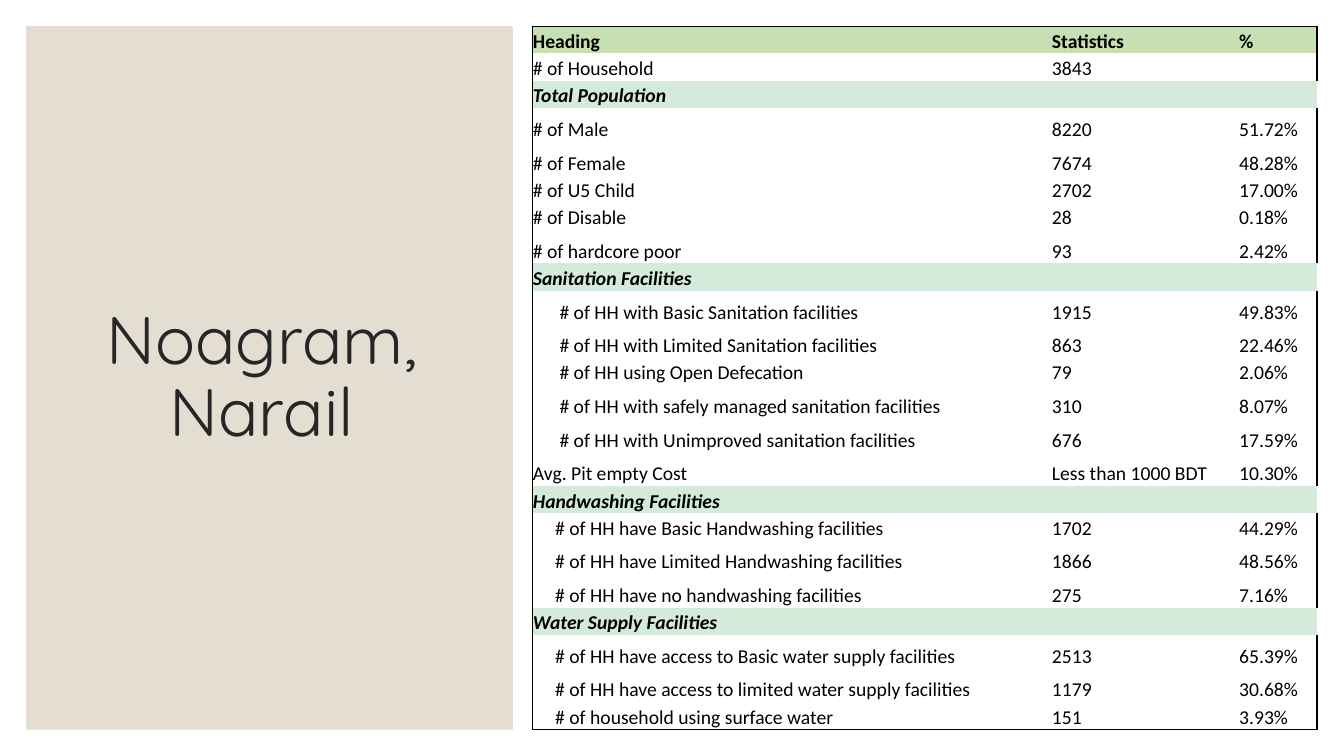
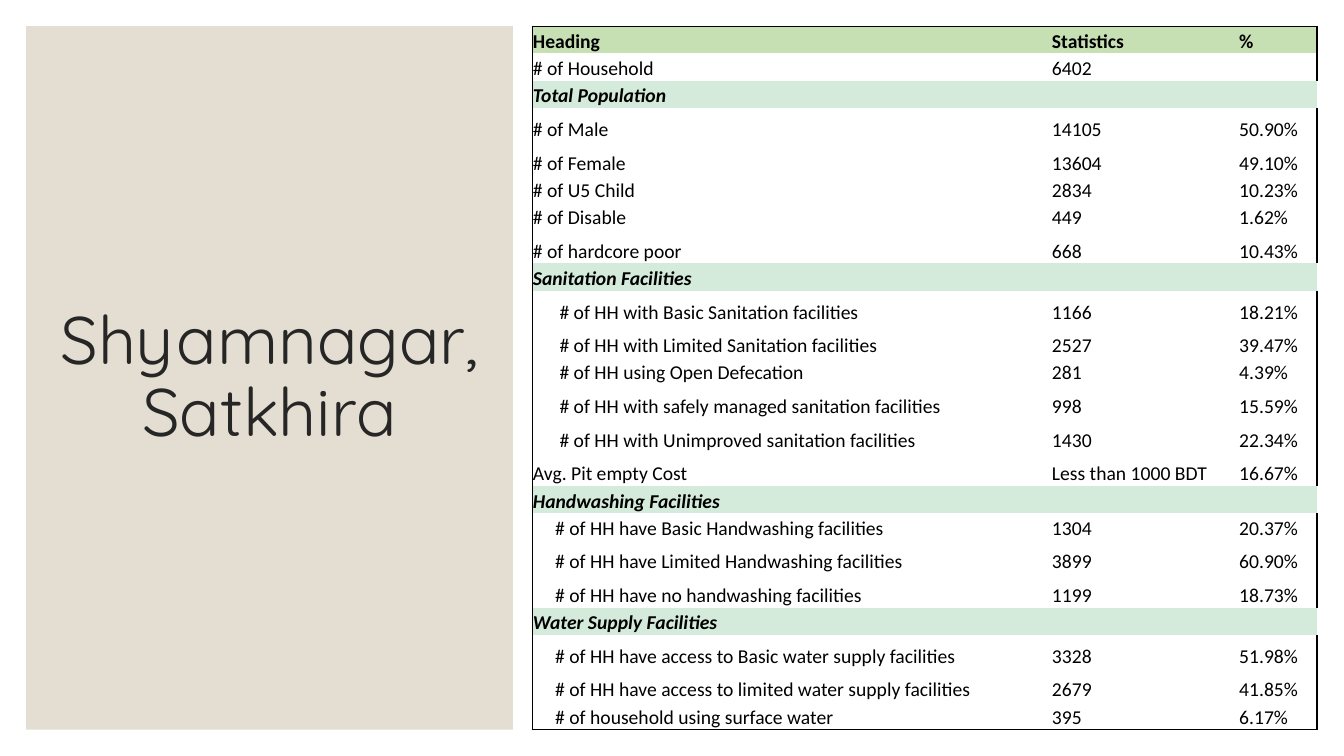
from dataclasses import dataclass

from pptx import Presentation
from pptx.dml.color import RGBColor
from pptx.enum.shapes import MSO_SHAPE
from pptx.enum.text import MSO_ANCHOR, MSO_AUTO_SIZE, PP_ALIGN
from pptx.oxml.ns import qn
from pptx.util import Cm, Pt
from lxml.etree import SubElement

TITLE_ONLY = 5
MARGIN = 0.66
CONTENT_HEIGHT = 17.73
COLUMN_WIDTHS = (13.08, 4.72, 1.98)
TALL_RATIO = 1.23
SANITATION_INDENT = 0.67
FACILITY_INDENT = 0.56


@dataclass(frozen=True)
class Theme:
    panel: RGBColor = RGBColor.from_string("E3DED1")
    title: RGBColor = RGBColor.from_string("262626")
    text: RGBColor = RGBColor.from_string("000000")
    header: RGBColor = RGBColor.from_string("C6E0B4")
    section: RGBColor = RGBColor.from_string("D4EBDB")
    title_font: str = "Quicksand"
    table_font: str = "Calibri"
    title_size: Pt = Pt(48)
    table_size: Pt = Pt(14)
    border: Pt = Pt(1)


THEME = Theme()


@dataclass(frozen=True)
class Row:
    label: str
    kind: str = "measure"
    tall: bool = False
    indent: float = 0


@dataclass(frozen=True)
class Site:
    name: str
    title_width: float
    measures: tuple


ROWS = (
    Row("Heading", "header"),
    Row("# of Household"),
    Row("Total Population", "section"),
    Row("# of Male", tall=True),
    Row("# of Female", tall=True),
    Row("# of U5 Child"),
    Row("# of Disable"),
    Row("# of hardcore poor", tall=True),
    Row("Sanitation Facilities", "section"),
    Row("# of HH with Basic Sanitation facilities", tall=True, indent=SANITATION_INDENT),
    Row("# of HH with Limited Sanitation facilities", tall=True, indent=SANITATION_INDENT),
    Row("# of HH using Open Defecation", indent=SANITATION_INDENT),
    Row("# of HH with safely managed sanitation facilities", tall=True, indent=SANITATION_INDENT),
    Row("# of HH with Unimproved sanitation facilities", tall=True, indent=SANITATION_INDENT),
    Row("Avg. Pit empty Cost", tall=True),
    Row("Handwashing Facilities", "section"),
    Row("# of HH have Basic Handwashing facilities", indent=FACILITY_INDENT),
    Row("# of HH have Limited Handwashing facilities", tall=True, indent=FACILITY_INDENT),
    Row("# of HH have no handwashing facilities", tall=True, indent=FACILITY_INDENT),
    Row("Water Supply Facilities", "section"),
    Row("# of HH have access to Basic water supply facilities", tall=True, indent=FACILITY_INDENT),
    Row("# of HH have access to limited water supply facilities", tall=True, indent=FACILITY_INDENT),
    Row("# of household using surface water", indent=FACILITY_INDENT),
)

SITES = (
    Site("Noagram, Narail", 10.92, (
        ("3843", ""),
        ("8220", "51.72%"), ("7674", "48.28%"), ("2702", "17.00%"),
        ("28", "0.18%"), ("93", "2.42%"),
        ("1915", "49.83%"), ("863", "22.46%"), ("79", "2.06%"),
        ("310", "8.07%"), ("676", "17.59%"),
        ("Less than 1000 BDT", "10.30%"),
        ("1702", "44.29%"), ("1866", "48.56%"), ("275", "7.16%"),
        ("2513", "65.39%"), ("1179", "30.68%"), ("151", "3.93%"),
    )),
    Site("Shyamnagar, Satkhira", 11.3, (
        ("6402", ""),
        ("14105", "50.90%"), ("13604", "49.10%"), ("2834", "10.23%"),
        ("449", "1.62%"), ("668", "10.43%"),
        ("1166", "18.21%"), ("2527", "39.47%"), ("281", "4.39%"),
        ("998", "15.59%"), ("1430", "22.34%"),
        ("Less than 1000 BDT", "16.67%"),
        ("1304", "20.37%"), ("3899", "60.90%"), ("1199", "18.73%"),
        ("3328", "51.98%"), ("2679", "41.85%"), ("395", "6.17%"),
    )),
)


def format_title(slide, site):
    title = slide.shapes.title
    title.left, title.top = Cm(1.14), Cm(1.55)
    title.width, title.height = Cm(site.title_width), Cm(15.98)
    frame = title.text_frame
    frame.text = site.name
    frame.word_wrap = True
    frame.auto_size = MSO_AUTO_SIZE.NONE
    frame.vertical_anchor = MSO_ANCHOR.MIDDLE
    paragraph = frame.paragraphs[0]
    paragraph.alignment = PP_ALIGN.CENTER
    paragraph.line_spacing = 0.9
    paragraph.font.name = THEME.title_font
    paragraph.font.size = THEME.title_size
    paragraph.font.color.rgb = THEME.title


def add_panel(slide):
    """Place the coloured panel behind the title."""
    panel = slide.shapes.add_shape(
        MSO_SHAPE.RECTANGLE, Cm(MARGIN), Cm(MARGIN), Cm(12.27), Cm(CONTENT_HEIGHT))
    panel.shadow.inherit = False
    panel.fill.solid()
    panel.fill.fore_color.rgb = THEME.panel
    panel.line.fill.background()
    slide.shapes.title.element.addprevious(panel.element)


def set_borders(cell, drawn_sides):
    """Draw the named sides (L, R, T, B) and clear the others."""
    properties = cell._tc.get_or_add_tcPr()
    for side in "LRTB":
        line = SubElement(properties, qn(f"a:ln{side}"), w=str(THEME.border))
        if side in drawn_sides:
            fill = SubElement(line, qn("a:solidFill"))
            SubElement(fill, qn("a:srgbClr"), val=str(THEME.text))
        else:
            SubElement(line, qn("a:noFill"))


def outer_sides(row_index, column_index):
    edges = {
        "L": column_index == 0,
        "R": column_index == len(COLUMN_WIDTHS) - 1,
        "T": row_index == 0,
        "B": row_index == len(ROWS) - 1,
    }
    return [side for side, on_edge in edges.items() if on_edge]


def format_cell(cell, text, kind, indent=0):
    cell.text = text
    cell.vertical_anchor = MSO_ANCHOR.BOTTOM
    cell.margin_left = cell.margin_right = cell.margin_top = Cm(0.02)
    cell.margin_bottom = 0
    fills = {"header": THEME.header, "section": THEME.section}
    if kind in fills:
        cell.fill.solid()
        cell.fill.fore_color.rgb = fills[kind]
    else:
        cell.fill.background()
    paragraph = cell.text_frame.paragraphs[0]
    font = paragraph.font
    font.name = THEME.table_font
    font.size = THEME.table_size
    font.color.rgb = THEME.text
    font.bold = kind in fills
    font.italic = kind == "section"
    if indent:
        paragraph._p.get_or_add_pPr().set("marL", str(Cm(indent)))


def row_texts(site):
    """Yield the three cell texts of every row."""
    measures = iter(site.measures)
    for row in ROWS:
        if row.kind == "header":
            values = ("Statistics", "%")
        elif row.kind == "section":
            values = ("", "")
        else:
            values = next(measures)
        yield (row.label, *values)


def add_statistics_table(slide, site):
    table = slide.shapes.add_table(
        len(ROWS), len(COLUMN_WIDTHS), Cm(13.41), Cm(MARGIN),
        Cm(sum(COLUMN_WIDTHS)), Cm(CONTENT_HEIGHT)).table
    table.first_row = table.horz_banding = False
    for column, width in zip(table.columns, COLUMN_WIDTHS):
        column.width = Cm(width)
    weights = [TALL_RATIO if row.tall else 1 for row in ROWS]
    unit = CONTENT_HEIGHT / sum(weights)
    for row_index, (row, texts) in enumerate(zip(ROWS, row_texts(site))):
        table.rows[row_index].height = Cm(unit * weights[row_index])
        for column_index, text in enumerate(texts):
            cell = table.cell(row_index, column_index)
            set_borders(cell, outer_sides(row_index, column_index))
            format_cell(cell, text, row.kind, row.indent if column_index == 0 else 0)
        if row.kind == "section":
            table.cell(row_index, 0).merge(table.cell(row_index, len(COLUMN_WIDTHS) - 1))


def main():
    presentation = Presentation()
    presentation.slide_width, presentation.slide_height = Cm(33.87), Cm(19.05)
    for site in SITES:
        slide = presentation.slides.add_slide(presentation.slide_layouts[TITLE_ONLY])
        format_title(slide, site)
        add_panel(slide)
        add_statistics_table(slide, site)
    presentation.save("out.pptx")


if __name__ == "__main__":
    main()
